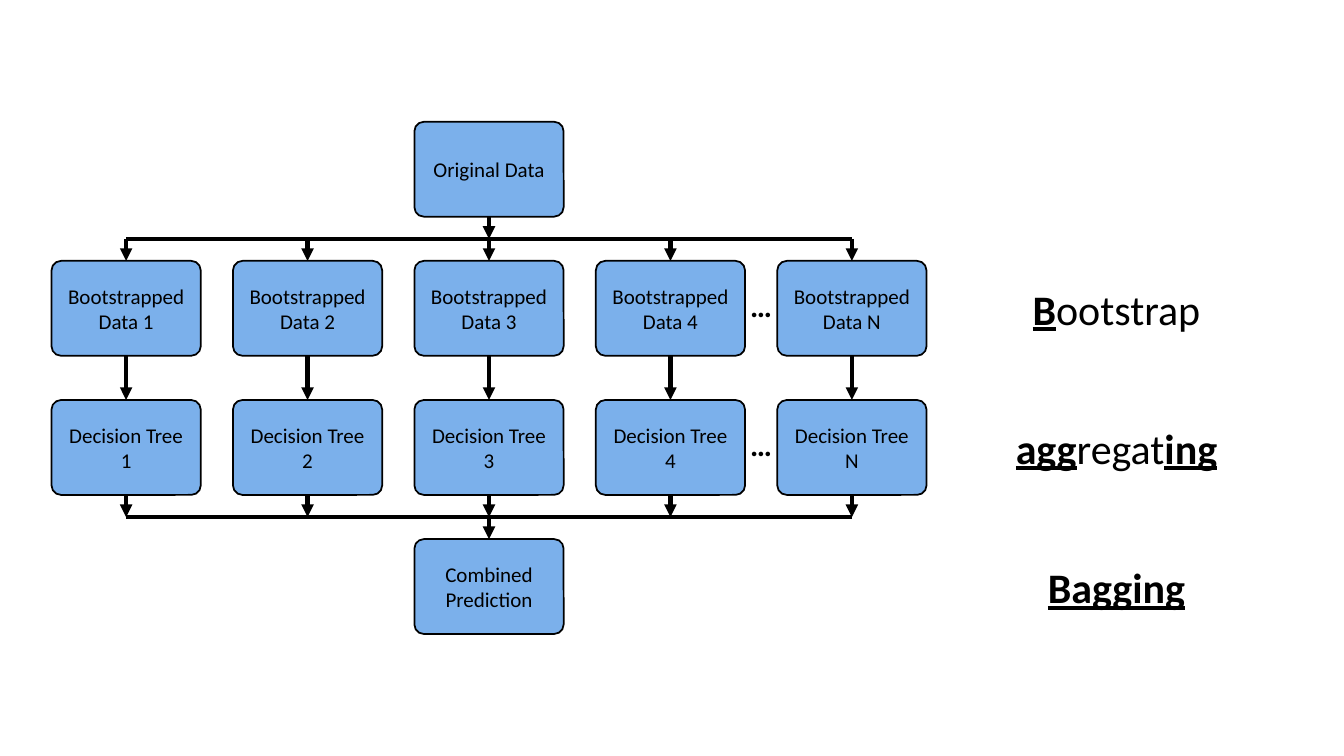
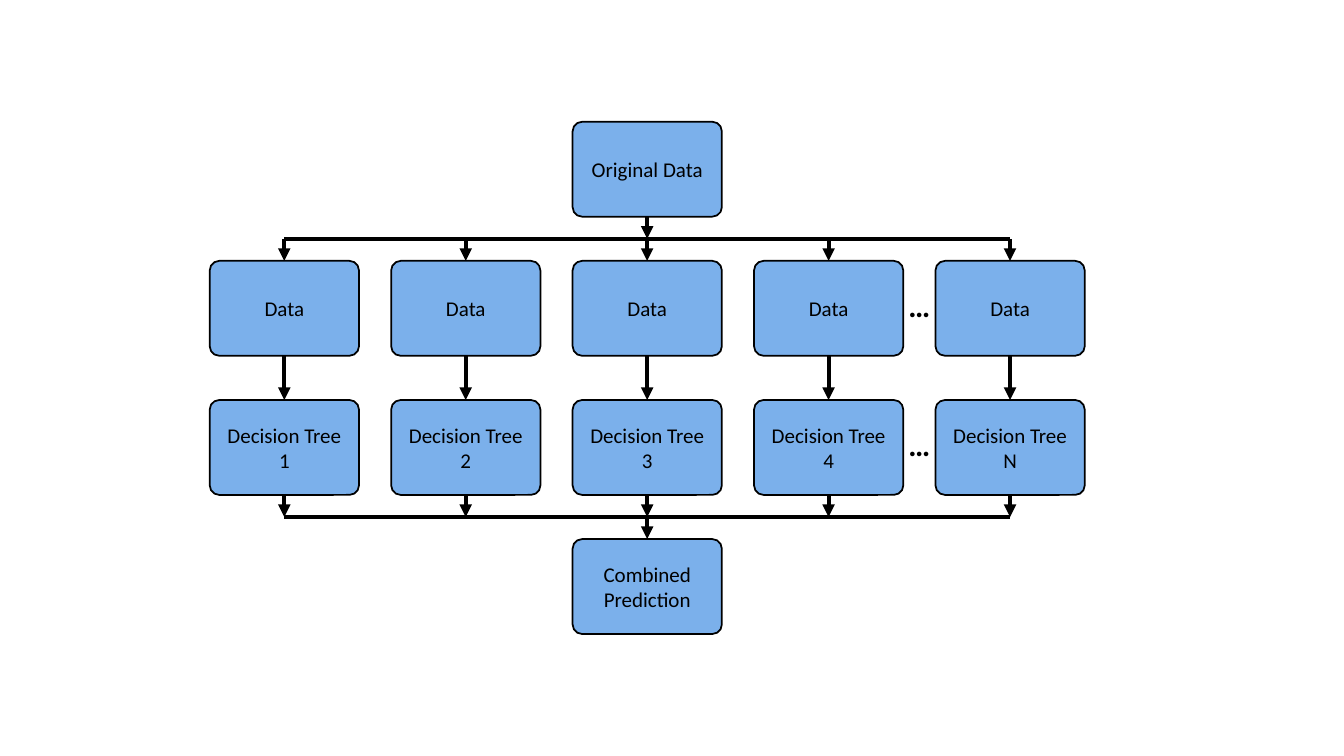
from lxml import etree
from pptx import Presentation
from pptx.dml.color import RGBColor
from pptx.enum.shapes import MSO_CONNECTOR as Connector, MSO_SHAPE as Preset
from pptx.enum.text import MSO_ANCHOR as Anchor, PP_ALIGN as Align
from pptx.oxml.ns import qn
from pptx.util import Pt

# Shared style
FONT = "Calibri"
BLUE, BLACK = "7BB0EB", "000000"
TOP, BOTTOM = 0, 2  # connection sites

# Diagram grid, in points
BOX_WIDTH, BOX_HEIGHT = 106.6, 67.8
COLUMN_STEP, ROW_STEP = 129.6, 99.36
ROW_GAP = ROW_STEP - BOX_HEIGHT
DIAGRAM_TOP = 87
COLUMNS = ["1", "2", "3", "4", "N"]
MIDDLE = len(COLUMNS) // 2


def color(hex_code):
    return RGBColor.from_string(hex_code)


def row_top(top, row):
    return top + row * ROW_STEP


def format_frame(frame, size, inset):
    """Centre the text both ways and set its font."""
    frame.word_wrap = True
    frame.vertical_anchor = Anchor.MIDDLE
    frame.margin_left = frame.margin_right = Pt(inset)
    for paragraph in frame.paragraphs:
        paragraph.alignment = Align.CENTER
        for run in paragraph.runs:
            run.font.name = FONT
            run.font.size = Pt(size)
            run.font.color.rgb = color(BLACK)


def add_box(slide, left, top, text):
    box = slide.shapes.add_shape(Preset.ROUNDED_RECTANGLE, Pt(left), Pt(top),
                                 Pt(BOX_WIDTH), Pt(BOX_HEIGHT))
    box.adjustments[0] = 0.1
    box.shadow.inherit = False
    box.fill.solid()
    box.fill.fore_color.rgb = color(BLUE)
    box.line.color.rgb = color(BLACK)
    box.line.width = Pt(1.25)
    box.text_frame.text = text
    format_frame(box.text_frame, 15, 8)
    return box


def add_line(slide, start, end, source=None, target=None, arrow=True):
    """Draw a line from start to end, joined to the boxes it leaves or meets."""
    line = slide.shapes.add_connector(Connector.STRAIGHT, *map(Pt, start + end))
    line.line.color.rgb = color(BLACK)
    line.line.width = Pt(3)
    if arrow:
        outline = line.line._get_or_add_ln()
        etree.SubElement(outline, qn("a:tailEnd"), type="triangle")
    etree.SubElement(line._element.spPr, qn("a:effectLst"))
    if source is not None:
        line.begin_connect(source, BOTTOM)
    if target is not None:
        line.end_connect(target, TOP)


def add_text(slide, left, top, width, height, pieces, size, inset=0):
    """Add one line of text made of (text, bold, underlined) pieces."""
    text_box = slide.shapes.add_textbox(Pt(left), Pt(top), Pt(width), Pt(height))
    paragraph = text_box.text_frame.paragraphs[0]
    for text, bold, underlined in pieces:
        run = paragraph.add_run()
        run.text = text
        run.font.bold = bold
        run.font.underline = underlined
    format_frame(text_box.text_frame, size, inset)
    return paragraph


def add_diagram(slide, left, top, data_labels):
    lefts = [left + column * COLUMN_STEP for column in range(len(COLUMNS))]
    centers = [x + BOX_WIDTH / 2 for x in lefts]
    center = centers[MIDDLE]
    data_top, tree_top, result_top = [row_top(top, row) for row in (1, 2, 3)]

    # Boxes
    original = add_box(slide, lefts[MIDDLE], top, "Original Data")
    data = [add_box(slide, x, data_top, label)
            for x, label in zip(lefts, data_labels)]
    trees = [add_box(slide, x, tree_top, f"Decision Tree {name}")
             for x, name in zip(lefts, COLUMNS)]
    combined = add_box(slide, lefts[MIDDLE], result_top, "Combined Prediction")

    # Horizontal bars halfway between the rows
    split_y = data_top - ROW_GAP / 2
    merge_y = result_top - ROW_GAP / 2
    for y in (split_y, merge_y):
        add_line(slide, (centers[0], y), (centers[-1], y), arrow=False)

    # Arrows
    add_line(slide, (center, top + BOX_HEIGHT), (center, split_y), source=original)
    for x, sample, tree in zip(centers, data, trees):
        add_line(slide, (x, split_y), (x, data_top), target=sample)
        add_line(slide, (x, data_top + BOX_HEIGHT), (x, tree_top), sample, tree)
        add_line(slide, (x, tree_top + BOX_HEIGHT), (x, merge_y), source=tree)
    add_line(slide, (center, merge_y), (center, result_top), target=combined)

    # Ellipses between the last two columns
    gap_left = lefts[-2] + BOX_WIDTH
    for y in (data_top, tree_top):
        paragraph = add_text(slide, gap_left, y + 18, COLUMN_STEP - BOX_WIDTH, 31,
                             [("…", True, False)], 22)
        paragraph.line_spacing = 0.9


def add_word_origin(slide, left, top, width):
    """Spell out the name beside the three lower rows."""
    words = [
        [("B", True, True), ("ootstrap", False, False)],
        [("agg", True, True), ("regat", False, False), ("ing", True, True)],
        [("Bagging", True, True)],
    ]
    height = 44
    for row, pieces in enumerate(words, start=1):
        y = row_top(top, row) + (BOX_HEIGHT - height) / 2
        add_text(slide, left, y, width, height, pieces, 30, inset=7.2)


def main():
    presentation = Presentation()
    presentation.slide_width, presentation.slide_height = Pt(960), Pt(540)
    blank = presentation.slide_layouts[6]

    # Bagging with bootstrapped data
    slide = presentation.slides.add_slide(blank)
    add_diagram(slide, 36.8, DIAGRAM_TOP,
                [f"Bootstrapped Data {name}" for name in COLUMNS])
    add_word_origin(slide, 672, DIAGRAM_TOP, 251)

    # The same ensemble on plain data
    slide = presentation.slides.add_slide(blank)
    add_diagram(slide, 149.8, DIAGRAM_TOP, ["Data"] * len(COLUMNS))

    presentation.save("out.pptx")


if __name__ == "__main__":
    main()
